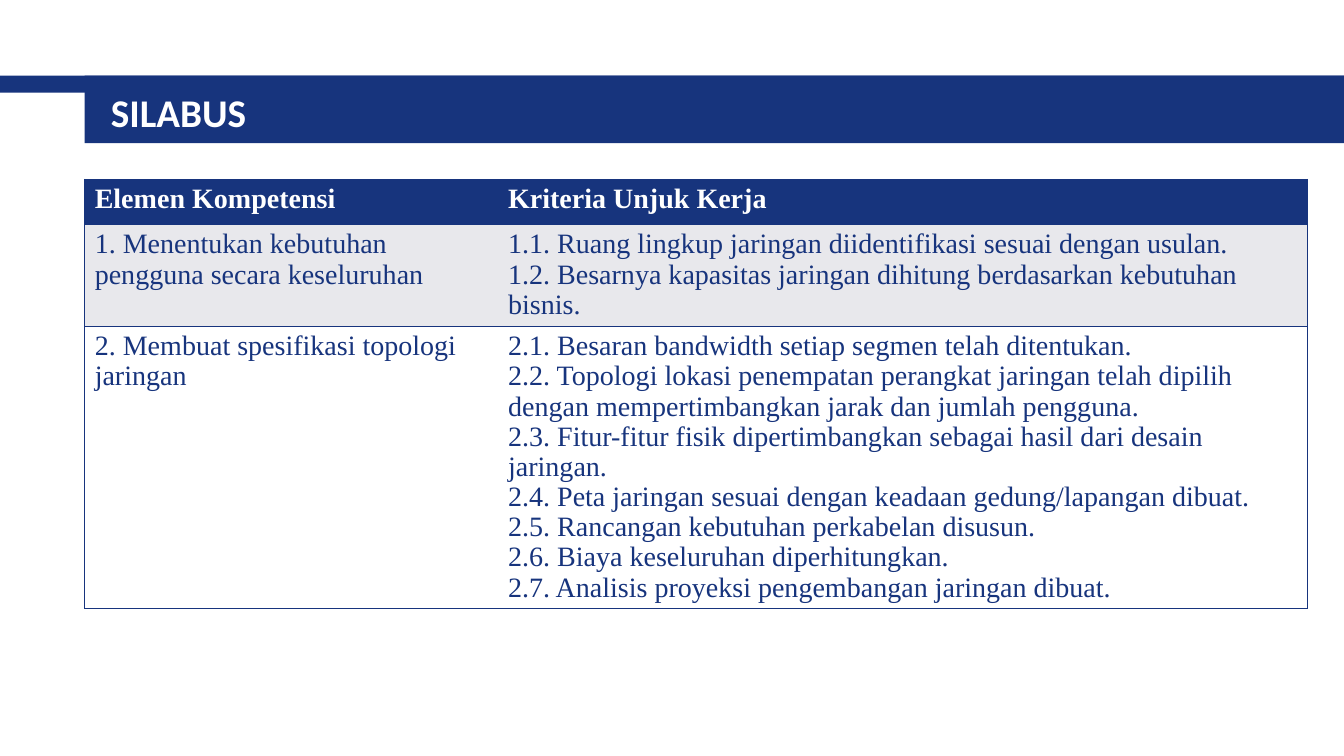
from lxml import etree
from pptx import Presentation
from pptx.dml.color import RGBColor
from pptx.enum.shapes import MSO_SHAPE
from pptx.enum.text import MSO_ANCHOR, PP_ALIGN
from pptx.oxml.ns import qn
from pptx.util import Inches, Pt

RECTANGLE = MSO_SHAPE.RECTANGLE
MIDDLE = MSO_ANCHOR.MIDDLE
LEFT = PP_ALIGN.LEFT

COLORS = {"navy": "17347D", "gray": "E8E8EC", "white": "FFFFFF"}
SLIDE_WIDTH, SLIDE_HEIGHT = 13.33, 7.5
MARGIN = 0.84
BAND_TOP = SLIDE_HEIGHT / 10
COLUMN_WIDTHS = [4.1, 8.03]
ROW_HEIGHTS = [0.45, 1.01, 2.79]
ROW_FILLS = ["navy", "gray", "white"]
SYLLABUS = [
    (["Elemen Kompetensi"], ["Kriteria Unjuk Kerja"]),
    (
        ["1. Menentukan kebutuhan", "pengguna secara keseluruhan"],
        [
            "1.1. Ruang lingkup jaringan diidentifikasi sesuai dengan usulan.",
            "1.2. Besarnya kapasitas jaringan dihitung berdasarkan kebutuhan bisnis.",
        ],
    ),
    (
        ["2. Membuat spesifikasi topologi", "jaringan"],
        [
            "2.1. Besaran bandwidth setiap segmen telah ditentukan.",
            "2.2. Topologi lokasi penempatan perangkat jaringan telah dipilih "
            "dengan mempertimbangkan jarak dan jumlah pengguna.",
            "2.3. Fitur-fitur fisik dipertimbangkan sebagai hasil dari desain jaringan.",
            "2.4. Peta jaringan sesuai dengan keadaan gedung/lapangan dibuat.",
            "2.5. Rancangan kebutuhan perkabelan disusun.",
            "2.6. Biaya keseluruhan diperhitungkan.",
            "2.7. Analisis proyeksi pengembangan jaringan dibuat.",
        ],
    ),
]


def rgb(name):
    return RGBColor.from_string(COLORS[name])


def box(left, top, width, height):
    return [Inches(length) for length in (left, top, width, height)]


def format_font(font, family, size, color, bold):
    font.name = family
    font.size = Pt(size)
    font.bold = bold
    font.color.rgb = rgb(color)


def add_band(slide, left, height):
    band = slide.shapes.add_shape(
        RECTANGLE, *box(left, BAND_TOP, SLIDE_WIDTH - left, height))
    band.shadow.inherit = False
    band.fill.solid()
    band.fill.fore_color.rgb = rgb("navy")
    band.line.fill.background()


def place_title(slide, text):
    title = slide.shapes.title
    title.left, title.top, title.width, title.height = box(1, 0.8, 11.89, 0.62)
    frame = title.text_frame
    frame.text = text
    frame.vertical_anchor = MIDDLE
    frame.paragraphs[0].alignment = LEFT
    format_font(frame.paragraphs[0].runs[0].font, "Calibri", 28, "white", True)
    slide.shapes._spTree.append(title._element)


def set_borders(cell, visible_sides):
    properties = cell._tc.get_or_add_tcPr()
    for position, side in enumerate("LRTB"):
        border = etree.Element(qn(f"a:ln{side}"), w=str(Pt(1)))
        if side in visible_sides:
            fill = etree.SubElement(border, qn("a:solidFill"))
            etree.SubElement(fill, qn("a:srgbClr"), val=COLORS["navy"])
        else:
            etree.SubElement(border, qn("a:noFill"))
        properties.insert(position, border)


def fill_cell(cell, lines, background, is_header):
    cell.fill.solid()
    cell.fill.fore_color.rgb = rgb(background)
    cell.text_frame.text = "\n".join(lines)
    for paragraph in cell.text_frame.paragraphs:
        paragraph.line_spacing = 0.97
        format_font(paragraph.runs[0].font, "Times New Roman", 20,
                    "white" if is_header else "navy", is_header)


def add_syllabus(slide):
    table = slide.shapes.add_table(
        len(ROW_HEIGHTS), len(COLUMN_WIDTHS),
        *box(MARGIN, 1.78, sum(COLUMN_WIDTHS), sum(ROW_HEIGHTS))).table
    for column, width in zip(table.columns, COLUMN_WIDTHS):
        column.width = Inches(width)
    for index, (row, height) in enumerate(zip(table.rows, ROW_HEIGHTS)):
        row.height = Inches(height)
        for cell, lines, outer_side in zip(row.cells, SYLLABUS[index], "LR"):
            fill_cell(cell, lines, ROW_FILLS[index], index == 0)
            set_borders(cell, outer_side + "TB")


def main():
    deck = Presentation()
    deck.slide_width = Inches(SLIDE_WIDTH)
    deck.slide_height = Inches(SLIDE_HEIGHT)
    slide = deck.slides.add_slide(deck.slide_layouts.get_by_name("Title Only"))
    add_band(slide, 0, 0.17)
    add_band(slide, MARGIN, 0.67)
    add_syllabus(slide)
    place_title(slide, "SILABUS")
    deck.save("out.pptx")


if __name__ == "__main__":
    main()
